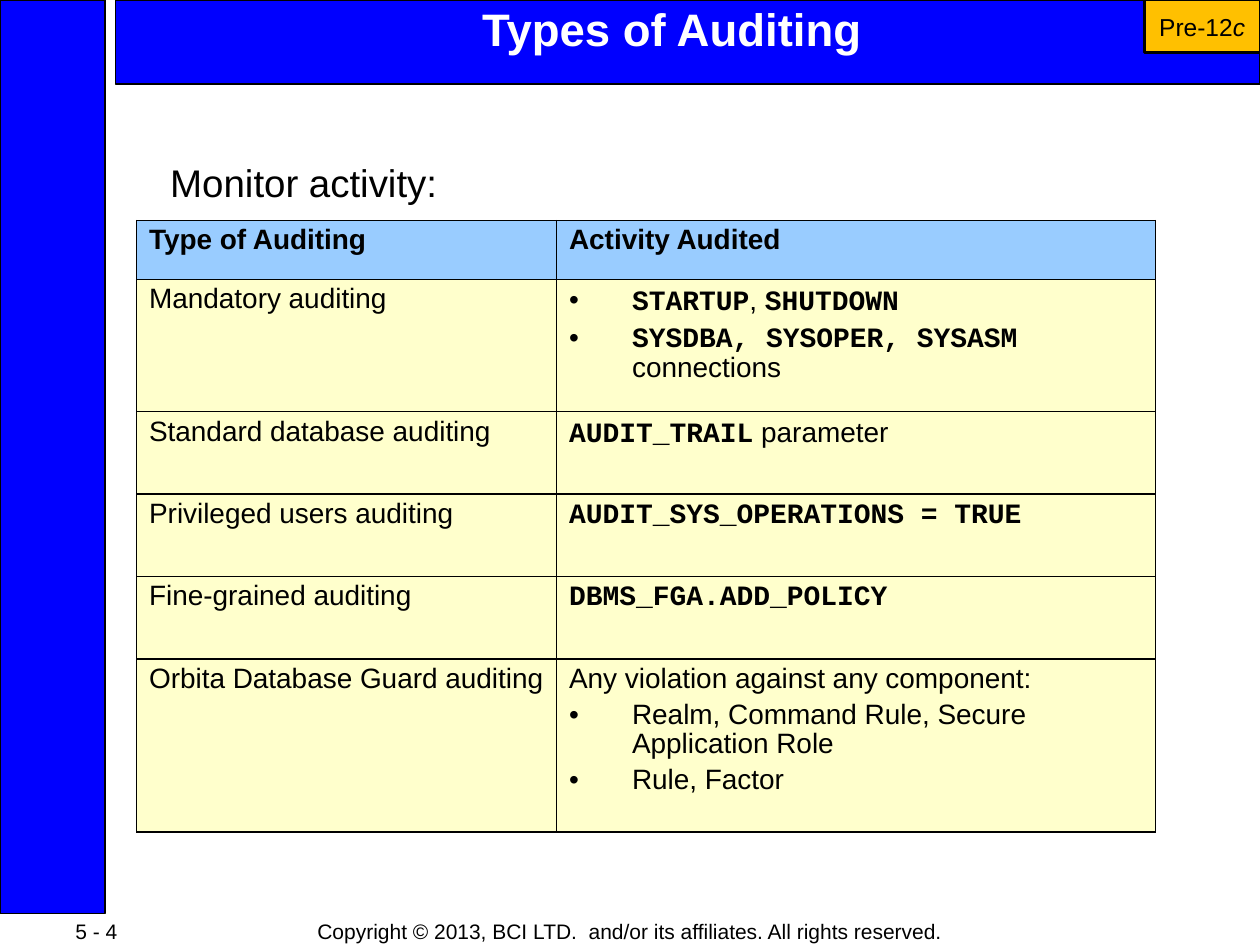
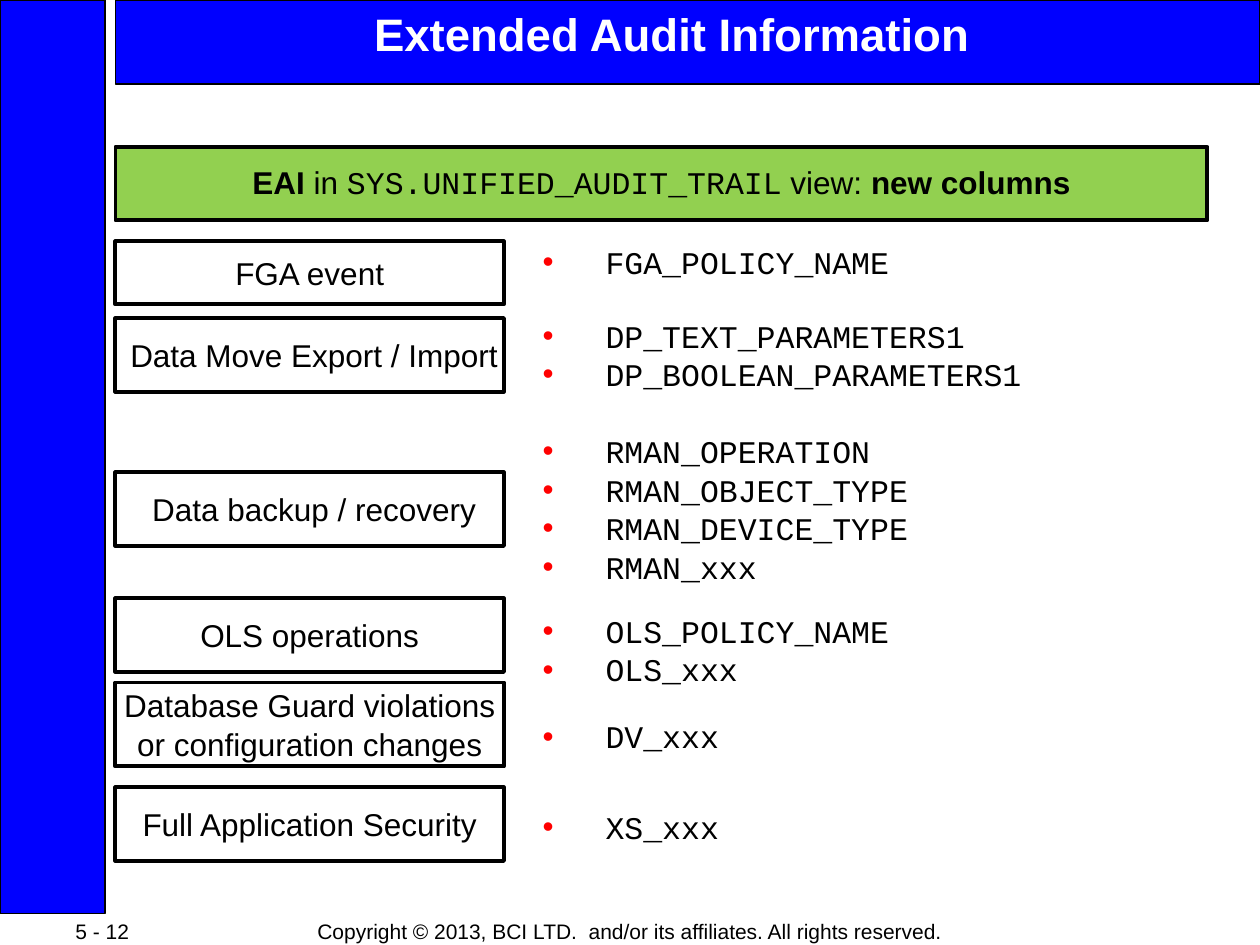
from dataclasses import dataclass

from lxml.etree import SubElement
from pptx import Presentation
from pptx.dml.color import RGBColor
from pptx.enum.shapes import MSO_SHAPE as Shape
from pptx.enum.text import MSO_ANCHOR as Anchor, PP_ALIGN as Align
from pptx.oxml.ns import qn
from pptx.util import Inches, Pt

# Shared look
BLUE, BLACK, WHITE, RED = "0000FF", "000000", "FFFFFF", "FF0000"
AMBER, GREEN, SKY, CREAM = "FFC000", "92D050", "99CCFF", "FFFFCC"
SANS, MONO = "Arial", "Courier New"
COPYRIGHT = "Copyright © 2013, BCI LTD.  and/or its affiliates. All rights reserved."
COLUMNS, ROWS = 120, 90  # square grid, twelve units to the inch
BULLET_HANG = 0.5


@dataclass(frozen=True)
class Area:
    left: float
    top: float
    width: float
    height: float

    def emu(self) -> list:
        return [grid(n) for n in (self.left, self.top, self.width, self.height)]


@dataclass(frozen=True)
class Span:
    text: str
    font: str = SANS
    bold: bool = False
    italic: bool = False


@dataclass(frozen=True)
class Para:
    spans: tuple
    before: float = 0
    bullet: str = ""
    indent: float = 0
    spacing: float = 1


@dataclass(frozen=True)
class Style:
    size: float
    color: str = BLACK
    align: Align = Align.LEFT
    anchor: Anchor = Anchor.TOP
    inset: tuple = (0.01, 0.01)
    wrap: bool = True


@dataclass(frozen=True)
class EventBox:
    top: float
    height: float
    lines: tuple
    left_inset: float = 0.05


def grid(units: float) -> int:
    return Inches(units / 12)


def rgb(value: str) -> RGBColor:
    return RGBColor.from_string(value)


def code(text: str) -> Span:
    return Span(text, MONO, bold=True)


def plain(text: str, **options) -> Para:
    return Para((Span(text),), **options)


def add_bullet(p, para: Para) -> None:
    pPr = p._p.get_or_add_pPr()
    pPr.set("marL", str(Inches(para.indent + BULLET_HANG)))
    pPr.set("indent", str(-Inches(BULLET_HANG)))
    color = SubElement(pPr, qn("a:buClr"))
    SubElement(color, qn("a:srgbClr")).set("val", para.bullet)
    SubElement(pPr, qn("a:buFont")).set("typeface", SANS)
    SubElement(pPr, qn("a:buChar")).set("char", "•")


def write(tf, paras: tuple, style: Style) -> None:
    for i, para in enumerate(paras):
        p = tf.add_paragraph() if i else tf.paragraphs[0]
        p.alignment = style.align
        p.line_spacing = para.spacing
        p.space_before = Pt(para.before if i else 0)
        if para.bullet:
            add_bullet(p, para)
        for span in para.spans:
            r = p.add_run()
            r.text = span.text
            r.font.name, r.font.size = span.font, Pt(style.size)
            r.font.bold, r.font.italic = span.bold, span.italic
            r.font.color.rgb = rgb(style.color)


def fill_frame(sp, paras: tuple, style: Style) -> None:
    tf = sp.text_frame
    tf.word_wrap = style.wrap
    tf.vertical_anchor = style.anchor
    tf.margin_left = tf.margin_right = Inches(style.inset[0])
    tf.margin_top = tf.margin_bottom = Inches(style.inset[1])
    write(tf, paras, style)


def add_text(slide, area: Area, paras: tuple, style: Style):
    sp = slide.shapes.add_textbox(*area.emu())
    fill_frame(sp, paras, style)
    return sp


def add_box(slide, area: Area, fill: str, line: float, paras: tuple = (), style: Style = Style(18)):
    sp = slide.shapes.add_shape(Shape.RECTANGLE, *area.emu())
    sp.shadow.inherit = False
    sp.fill.solid()
    sp.fill.fore_color.rgb = rgb(fill)
    sp.line.color.rgb = rgb(BLACK)
    sp.line.width = Pt(line)
    if paras:
        fill_frame(sp, paras, style)
    return sp


def add_frame(prs, title: str, number: str, title_inset: tuple):
    """Blank slide with footer, blue bands and title."""
    slide = prs.slides.add_slide(prs.slide_layouts[6])
    footer = dict(anchor=Anchor.MIDDLE, inset=(0.1, 0.01), wrap=False)
    add_text(slide, Area(27, 87.4, 66, 2.5), (plain(COPYRIGHT),), Style(12, align=Align.CENTER, **footer))
    add_text(slide, Area(6, 87.4, 12.7, 2.5), (plain(number),), Style(12, align=Align.JUSTIFY, **footer))
    add_box(slide, Area(11, 0, COLUMNS - 11, 8), BLUE, 1)
    add_box(slide, Area(0, 0, 10, ROWS - 3), BLUE, 1)
    heading = Para((Span(title, bold=True),))
    add_text(slide, Area(12, 0, 104, 11.5), (heading,), Style(26, WHITE, Align.CENTER, inset=title_inset))
    return slide


# Slide: types of auditing
def item(*spans: Span) -> Para:
    return Para(spans, before=4, bullet=BLACK, spacing=0.94)


def entry(*spans: Span) -> tuple:
    return (Para(spans, spacing=0.93),)


AUDIT_COLUMNS = (40, 57)
AUDIT_HEIGHTS = (5.6, 12.6, 7.85, 7.85, 7.85, 16.5)
AUDIT_ROWS = (
    (entry(Span("Type of Auditing", bold=True)), entry(Span("Activity Audited", bold=True))),
    (entry(Span("Mandatory auditing")),
     (item(code("STARTUP"), Span(", "), code("SHUTDOWN")),
      item(code("SYSDBA, SYSOPER, SYSASM "), Span("connections")))),
    (entry(Span("Standard database auditing")), entry(code("AUDIT_TRAIL"), Span(" parameter"))),
    (entry(Span("Privileged users auditing")), entry(code("AUDIT_SYS_OPERATIONS = TRUE"))),
    (entry(Span("Fine-grained auditing")), entry(code("DBMS_FGA.ADD_POLICY"))),
    (entry(Span("Orbita Database Guard auditing")),
     entry(Span("Any violation against any component:"))
     + (item(Span("Realm, Command Rule, Secure Application Role")),
        item(Span("Rule, Factor")))),
)


def add_borders(cell) -> None:
    tcPr = cell._tc.get_or_add_tcPr()
    for side, width in (("L", 0.5), ("R", 0.5), ("T", 1), ("B", 1)):
        ln = SubElement(tcPr, qn(f"a:ln{side}"), w=str(Pt(width)))
        SubElement(SubElement(ln, qn("a:solidFill")), qn("a:srgbClr")).set("val", BLACK)


def build_types(prs) -> None:
    slide = add_frame(prs, "Types of Auditing", "5 - 4", (0.01, 0.01))
    add_text(slide, Area(16.1, 15, 103.9, 4.8), (plain("Monitor activity:"),), Style(22))

    area = Area(13, 21, sum(AUDIT_COLUMNS), sum(AUDIT_HEIGHTS))
    table = slide.shapes.add_table(len(AUDIT_ROWS), len(AUDIT_COLUMNS), *area.emu()).table
    table.horz_banding = False
    for column, width in zip(table.columns, AUDIT_COLUMNS):
        column.width = grid(width)
    for i, (row, height, cells) in enumerate(zip(table.rows, AUDIT_HEIGHTS, AUDIT_ROWS)):
        row.height = grid(height)
        for cell, paras in zip(row.cells, cells):
            add_borders(cell)
            cell.fill.solid()
            cell.fill.fore_color.rgb = rgb(CREAM if i else SKY)
            write(cell.text_frame, paras, Style(16))

    version = Para((Span("Pre-12"), Span("c", italic=True)))
    add_box(slide, Area(109, 0, 11, 5), AMBER, 1.5, (version,),
            Style(14, align=Align.CENTER, anchor=Anchor.MIDDLE, inset=(0.1, 0.01)))


# Slide: extended audit information
LINE_GAP = 0.4
EVENTS = (
    EventBox(23, 6, ("FGA event",)),
    EventBox(30.3, 7, ("Data Move Export / Import",), 0.12),
    EventBox(45, 7, ("Data backup / recovery",), 0.12),
    EventBox(57, 7, ("OLS operations",)),
    EventBox(65, 8, ("Database Guard violations", "or configuration changes")),
    EventBox(75, 7, ("Full Application Security",)),
)
# Space before each group, then its view columns
VIEW_COLUMNS = (
    (0, ("FGA_POLICY_NAME",)),
    (20.7, ("DP_TEXT_PARAMETERS1", "DP_BOOLEAN_PARAMETERS1")),
    (22.4, ("RMAN_OPERATION", "RMAN_OBJECT_TYPE", "RMAN_DEVICE_TYPE", "RMAN_xxx")),
    (15, ("OLS_POLICY_NAME", "OLS_xxx")),
    (16.7, ("DV_xxx",)),
    (30.4, ("XS_xxx",)),
)


def build_extended(prs) -> None:
    slide = add_frame(prs, "Extended Audit Information", "5 - 12", (0.1, 0.05))
    label = Style(18, align=Align.CENTER, anchor=Anchor.MIDDLE, inset=(0.05, 0.05), wrap=False)

    banner = Para((Span("EAI", bold=True), Span(" in "), Span("SYS.UNIFIED_AUDIT_TRAIL", MONO),
                   Span(" view: "), Span("new columns", bold=True)), spacing=0.95)
    add_box(slide, Area(11, 14, 104, 7), GREEN, 2.25, (banner,), label)

    for event in EVENTS:
        paras = tuple(plain(line, before=LINE_GAP) for line in event.lines)
        sp = add_box(slide, Area(11, event.top, 37, event.height), WHITE, 2.25, paras, label)
        sp.text_frame.margin_left = Inches(event.left_inset)

    names = tuple(
        Para((Span(name, MONO),), before=LINE_GAP if i else gap, bullet=RED, indent=0.13)
        for gap, group in VIEW_COLUMNS for i, name in enumerate(group)
    )
    add_text(slide, Area(50, 23, 65, 57.7), names, Style(18))


def main() -> None:
    prs = Presentation()
    prs.slide_width, prs.slide_height = grid(COLUMNS), grid(ROWS)
    build_types(prs)
    build_extended(prs)
    prs.save("out.pptx")


if __name__ == "__main__":
    main()
